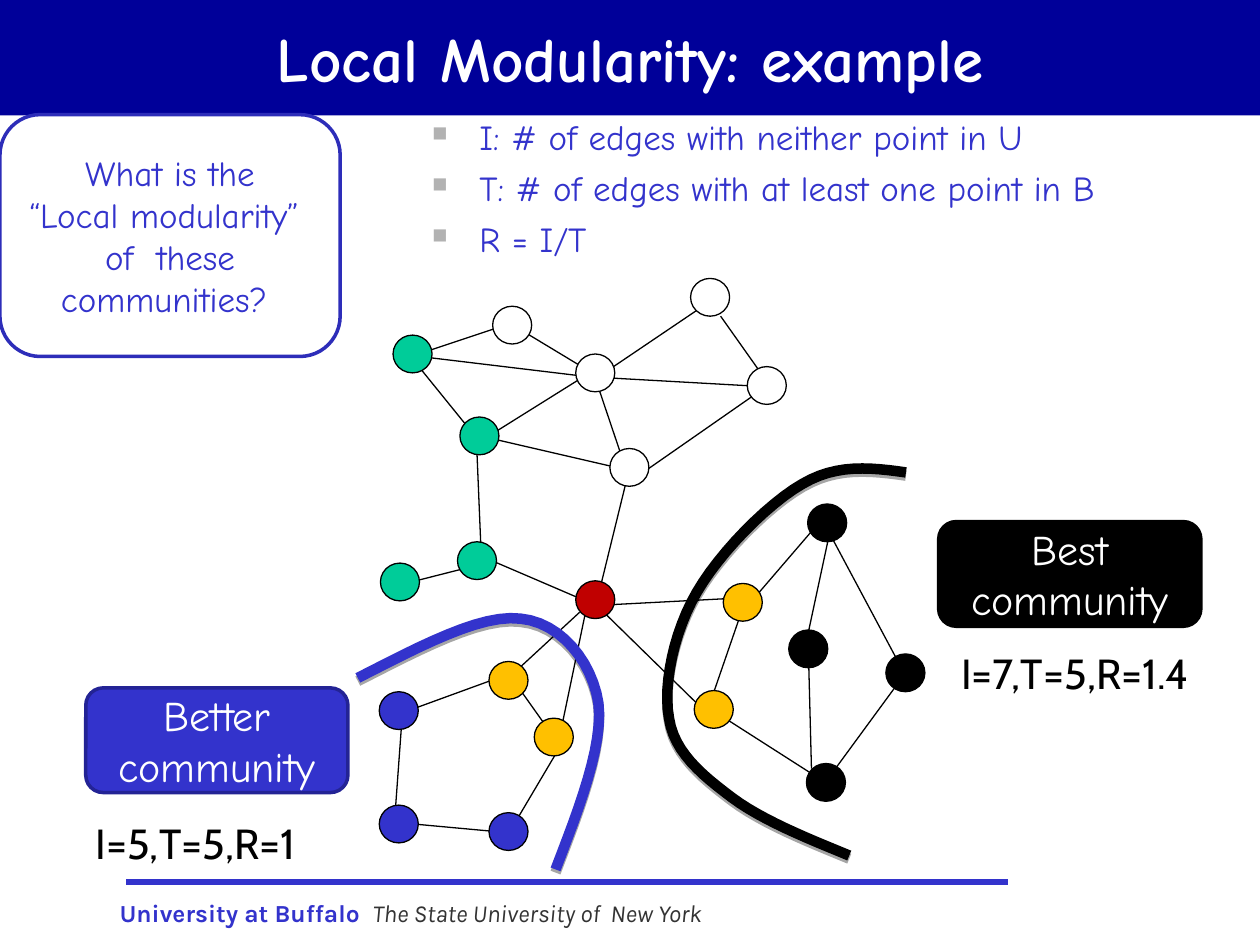
from lxml.etree import SubElement
from pptx import Presentation
from pptx.dml.color import RGBColor as Rgb
from pptx.enum.shapes import MSO_CONNECTOR as Connector, MSO_SHAPE as Shape
from pptx.enum.text import MSO_ANCHOR as Anchor, MSO_AUTO_SIZE as AutoSize, PP_ALIGN as Align
from pptx.oxml.ns import qn
from pptx.util import Pt

COLORS = {
    "white": "FFFFFF", "black": "000000", "navy": "000099", "blue": "3333CC",
    "dark_blue": "232395", "outline_blue": "2D2DB9", "gray": "333333",
    "bullet": "B2B2B2", "green": "00CC99", "gold": "FFC000", "red": "C00000",
}
DISPLAY, BODY, FOOTER = "Comic Neue", "Cabin", "Karla"
NODE_WIDTH, NODE_HEIGHT = 22.3, 21.6

# Left and top of each node, by colour
NODES = {
    "green": [(262.8, 238.3), (224.6, 191.5), (261.4, 309.6), (217.4, 321.8)],
    "blue": [(216.7, 395.3), (216.7, 460.1), (279.4, 464.4)],
    "white": [(427, 209.5), (394.6, 159.1), (348.5, 256.3), (329, 202.3), (281.5, 175)],
    "black": [(506.2, 373.7), (460.8, 436.3), (461.5, 288), (450.7, 360)],
    "gold": [(305.3, 410.4), (279.4, 378), (413.3, 333.4), (396.7, 394.6)],
    "red": [(329, 331.9)],
}

# Start x, start y, end x, end y
UPPER_EDGES = [
    (297.4, 182.9, 234.7, 203.8), (336.2, 215.3, 240.5, 203.8),
    (337.7, 208.8, 359.3, 272.9), (403.9, 173.5, 342, 215.3),
    (274.3, 252.7, 234.7, 203.8), (358.6, 268.6, 274.3, 249.1),
    (437.8, 221, 364.3, 272.2), (342, 215.3, 296.6, 187.9),
    (331.2, 216.7, 279.4, 249.1), (411.8, 180.7, 441.4, 222.5),
    (437.8, 221, 336.2, 215.3), (272.2, 249.8, 275, 317.5),
    (274.3, 322.6, 231.8, 333.4),
]
HUB_EDGES = [
    (360, 266.4, 342, 339.8), (329.8, 341.3, 274.3, 317.5),
    (335.5, 345.6, 319, 424.8), (337, 342, 403.9, 407.5),
    (331.2, 349.9, 294.5, 383.8), (416.9, 342, 347.8, 345.6),
]
BETTER_EDGES = [
    (294.5, 383.8, 233.3, 406.1), (229.7, 411.1, 225.4, 470.2),
    (319, 424.8, 290.9, 385.2), (319, 428.4, 290.9, 475.9),
    (290.9, 475.9, 229, 470.2),
]
BEST_EDGES = [
    (517, 385.2, 471.6, 300.2), (471.6, 294.5, 432.7, 339.8),
    (517, 385.2, 471.6, 447.1), (424.1, 348.5, 407.5, 396.7),
    (471.6, 447.1, 409.7, 407.5), (473, 309.6, 462.2, 360),
    (462.2, 381.6, 463.7, 439.2),
]

# Bezier points: start, then two controls and an end for each piece
BETTER_BOUNDARY = [
    (204.5, 387.4), (239.8, 369.4), (275, 350.6), (297.4, 353.5),
    (320.4, 355.7), (338.4, 378), (342, 401.8),
    (344.9, 425.5), (331.2, 461.5), (317.5, 496.8),
]
BEST_BOUNDARY = [
    (517.7, 270), (497.5, 267.1), (478.1, 265), (458.6, 276.5),
    (438.5, 288), (411.1, 316.1), (398.2, 338.4),
    (385.2, 360.7), (378.7, 391), (382.3, 410.4),
    (385.2, 429.8), (401, 442.8), (418.3, 455.8),
    (435.6, 468.7), (460.8, 478.8), (485.3, 488.9),
]


def bezier_points(points, steps=12):
    """Sample a chain of cubic curves as points on the line."""
    for first in range(0, len(points) - 1, 3):
        piece = points[first:first + 4]
        for step in range(1, steps + 1):
            t = step / steps
            weights = ((1 - t) ** 3, 3 * t * (1 - t) ** 2, 3 * t * t * (1 - t), t ** 3)
            yield tuple(Pt(sum(w * p[axis] for w, p in zip(weights, piece)))
                        for axis in (0, 1))


class SlideBuilder:
    def __init__(self, slide):
        self.slide = slide
        self.shapes = slide.shapes

    @staticmethod
    def color(name):
        return Rgb.from_string(COLORS[name])

    def paint_line(self, shape, color, width):
        shape.line.color.rgb = self.color(color)
        shape.line.width = Pt(width)

    def fill_text(self, frame, lines, color, align=Align.LEFT, bulleted=False, **font):
        frame.text = "\n".join(lines)
        for index, paragraph in enumerate(frame.paragraphs):
            paragraph.alignment = align
            if bulleted:
                paragraph.space_before = Pt(5 if index else 0)
                self.add_bullet(paragraph)
            for key, value in font.items():
                setattr(paragraph.font, key, Pt(value) if key == "size" else value)
            paragraph.font.color.rgb = self.color(color)

    def add_bullet(self, paragraph):
        properties = paragraph._p.get_or_add_pPr()
        properties.set("marL", str(Pt(63)))
        properties.set("indent", str(Pt(-27)))
        bullet_color = SubElement(properties, qn("a:buClr"))
        SubElement(bullet_color, qn("a:srgbClr"), val=COLORS["bullet"])
        SubElement(properties, qn("a:buSzPct"), val="60000")
        SubElement(properties, qn("a:buChar"), char="■")

    def block(self, kind, box, fill, line=None, width=2):
        shape = self.shapes.add_shape(kind, *map(Pt, box))
        shape.shadow.inherit = False
        shape.fill.solid()
        shape.fill.fore_color.rgb = self.color(fill)
        if line:
            self.paint_line(shape, line, width)
        else:
            shape.line.fill.background()
        return shape

    def panel(self, kind, box, lines, fill, line, color, **font):
        frame = self.block(kind, box, fill, line).text_frame
        frame.word_wrap = True
        frame.vertical_anchor = Anchor.MIDDLE
        self.fill_text(frame, lines, color, Align.CENTER, **font)

    def text(self, box, lines, color, wrap=False, **font):
        frame = self.shapes.add_textbox(*map(Pt, box)).text_frame
        frame.word_wrap = wrap
        frame.auto_size = AutoSize.SHAPE_TO_FIT_TEXT
        self.fill_text(frame, lines, color, **font)

    def line(self, ends, color="black", width=0.75):
        connector = self.shapes.add_connector(Connector.STRAIGHT, *map(Pt, ends))
        self.paint_line(connector, color, width)
        SubElement(connector._element.spPr, qn("a:effectLst"))

    def node(self, left, top, fill):
        self.block(Shape.OVAL, (left, top, NODE_WIDTH, NODE_HEIGHT), fill, "black", 0.75)

    def boundary(self, points, color):
        builder = self.shapes.build_freeform(*map(Pt, points[0]))
        builder.add_line_segments(bezier_points(points), close=False)
        shape = builder.convert_to_shape()
        shape.fill.background()
        self.paint_line(shape, color, 6)
        effects = SubElement(shape._element.spPr, qn("a:effectLst"))
        shadow = SubElement(effects, qn("a:outerShdw"), blurRad="0",
                            dist=str(Pt(1.8)), dir="5400000", rotWithShape="0")
        shade = SubElement(shadow, qn("a:srgbClr"), val=COLORS["black"])
        SubElement(shade, qn("a:alpha"), val="35000")


def main():
    presentation = Presentation()
    presentation.slide_width, presentation.slide_height = Pt(720), Pt(540)
    page = SlideBuilder(presentation.slides.add_slide(presentation.slide_layouts[6]))

    page.line((72, 504, 576, 504), "blue", 3)
    page.text((61.2, 509.8, 159.1, 24.5), ["University at Buffalo"], "blue",
              name=FOOTER, size=14, bold=True)
    page.text((205.9, 509.8, 218.2, 24.5), ["The State University of  New York"], "gray",
              name=FOOTER, size=14, italic=True)
    page.panel(Shape.RECTANGLE, (0, 0, 720, 66), ["Local Modularity: example"],
               "navy", None, "white", name=DISPLAY, size=36, bold=True)

    for left, top, label, fill, outline in (
            (49, 393.1, "Better community", "blue", "dark_blue"),
            (536.4, 298.1, "Best community", "black", "black")):
        page.panel(Shape.ROUNDED_RECTANGLE, (left, top, 149.8, 59.8), [label],
                   fill, outline, "white", name=DISPLAY, size=24)
    for box, score in (((47.5, 463.7, 146.2, 36), "I=5,T=5,R=1"),
                       ((542.2, 366.5, 166.3, 36), "I=7,T=5,R=1.4")):
        page.text(box, [score], "black", name=BODY, size=24)

    for ends in UPPER_EDGES + HUB_EDGES + BETTER_EDGES + BEST_EDGES:
        page.line(ends)
    for fill, corners in NODES.items():
        for left, top in corners:
            page.node(left, top, fill)
    page.boundary(BETTER_BOUNDARY, "blue")
    page.boundary(BEST_BOUNDARY, "black")

    page.panel(Shape.ROUNDED_RECTANGLE, (0, 65.5, 194.4, 138.2),
               ["What is the", "“Local modularity” ", "of  these communities? "],
               "white", "outline_blue", "blue", name=DISPLAY, size=20)
    page.text((203.8, 62.6, 516.2, 89.3),
              ["I: # of edges with neither point in U",
               "T: # of edges with at least one point in B", "R = I/T"],
              "blue", wrap=True, bulleted=True, name=DISPLAY, size=20)
    presentation.save("out.pptx")


if __name__ == "__main__":
    main()
